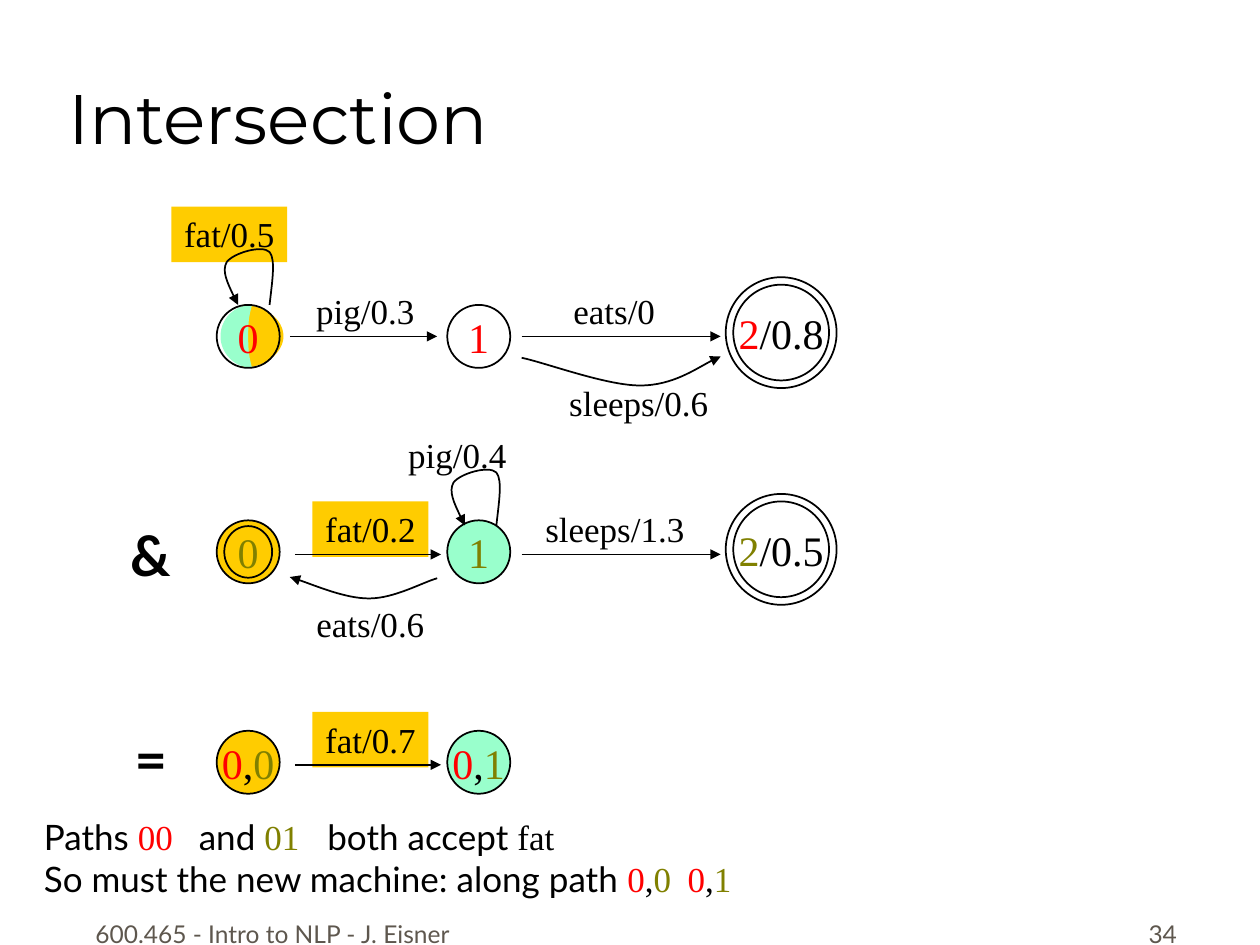
import pptx
import pptx.util
import pptx.dml.color
import pptx.enum.text
import pptx.enum.shapes
import pptx.oxml.ns
import lxml.etree
from dataclasses import dataclass

Inches, Pt = pptx.util.Inches, pptx.util.Pt
Align, Anchor = pptx.enum.text.PP_ALIGN, pptx.enum.text.MSO_ANCHOR
Fit = pptx.enum.text.MSO_AUTO_SIZE
Kind = pptx.enum.shapes.MSO_SHAPE
qn = pptx.oxml.ns.qn


@dataclass
class Theme:
    black: str = "000000"
    red: str = "FF0000"
    olive: str = "808000"
    gold: str = "FFCC00"
    mint: str = "99FFCC"
    grey: str = "5E574E"
    head: str = "Montserrat"
    sans: str = "Lato"
    serif: str = "Times New Roman"
    title: int = 40
    sign: int = 32
    state: int = 24
    label: int = 20
    foot: int = 14
    line: int = 1


T = Theme()

# Content: states as (column, row, fill, runs)
COLS, ROWS = (1.97, 3.8, 6.2), (2.67, 4.38, 6.05)  # state centres
STATES = [
    (0, 0, None, [("0", T.red)]),
    (1, 0, None, [("1", T.red)]),
    (0, 1, T.gold, [("0", T.olive)]),
    (1, 1, T.mint, [("1", T.olive)]),
    (0, 2, T.gold, [("0", T.red), (",", T.black), ("0", T.olive)]),
    (1, 2, T.mint, [("0", T.red), (",", T.black), ("1", T.olive)]),
]
# Final states: centre y, runs
FINALS = [
    (2.64, [("2", T.red), ("/0.8", T.black)]),
    (4.36, [("2", T.olive), ("/0.5", T.black)]),
]

# Arc labels: text, left, top, width, fill
LABELS = [
    ("fat/0.5", 1.36, 1.64, 0.92, T.gold),
    ("fat/0.2", 2.48, 3.98, 0.92, T.gold),
    ("fat/0.7", 2.48, 5.65, 0.92, T.gold),
    ("pig/0.3", 2.41, 2.25, 0.98, None),
    ("eats/0", 4.45, 2.25, 0.85, None),
    ("sleeps/0.6", 4.41, 2.98, 1.32, None),
    ("pig/0.4", 3.14, 3.39, 0.98, None),
    ("sleeps/1.3", 4.22, 3.98, 1.32, None),
    ("eats/0.6", 2.41, 4.73, 1.06, None),
]
SIGNS = [("&", 0.93, 4.08, 0.53), ("=", 0.97, 5.7, 0.45)]

# Straight arcs: from x, to x, y
ARCS = [(2.3, 3.47, 2.67), (4.14, 5.72, 2.67), (2.34, 3.5, 4.4),
        (4.14, 5.72, 4.4), (2.34, 3.5, 6.07)]

# Bézier chains: a start, then three points for each piece
LOOP = [(0, 0), (0.02, -0.18), (0.05, -0.36), (0, -0.42),
        (-0.06, -0.48), (-0.29, -0.41), (-0.34, -0.34),
        (-0.38, -0.27), (-0.32, -0.14), (-0.25, 0)]
LOOPS = [(2.14, 2.42), (3.94, 4.17)]
BENDS = [
    [(4.14, 2.84), (4.33, 2.88), (4.81, 3.06), (5.08, 3.06),
     (5.34, 3.06), (5.61, 2.87), (5.72, 2.83)],
    [(3.47, 4.59), (3.36, 4.62), (3.13, 4.75), (2.93, 4.75),
     (2.74, 4.75), (2.41, 4.61), (2.3, 4.58)],
]
HALVES = [
    (T.gold, [(1.92, 2.42), (1.94, 2.5), (1.96, 2.53), (1.96, 2.67),
              (1.96, 2.8), (1.94, 2.84), (1.92, 2.92),
              (2.1, 2.92), (2.25, 2.8), (2.25, 2.67),
              (2.25, 2.53), (2.1, 2.42), (1.92, 2.42)]),
    (T.mint, [(2, 2.42), (1.98, 2.5), (1.97, 2.53), (1.97, 2.67),
              (1.97, 2.8), (1.98, 2.84), (2, 2.92),
              (1.86, 2.92), (1.75, 2.8), (1.75, 2.67),
              (1.75, 2.53), (1.86, 2.42), (2, 2.42)]),
]

# Closing remarks: tab stops, then runs of (text, colour, font)
NOTES = [
    ((1.23, 2.25), [("Paths ", T.black, T.sans), ("00", T.red, T.serif),
                    ("\tand ", T.black, T.sans), ("01", T.olive, T.serif),
                    ("\tboth accept ", T.black, T.sans),
                    ("fat", T.black, T.serif)]),
    ((5.11,), [("So must the new machine: along path ", T.black, T.sans),
               ("0", T.red, T.serif), (",", T.black, T.serif),
               ("0\t", T.olive, T.serif), ("0", T.red, T.serif),
               (",", T.black, T.serif), ("1", T.olive, T.serif)]),
]
FOOTS = [("600.465 - Intro to NLP - J. Eisner", 0.58, 3.17, Align.CENTER),
         ("34", 7.36, 2.08, Align.RIGHT)]

deck = pptx.Presentation()
deck.slide_width, deck.slide_height = Inches(10), Inches(7.5)
slide = deck.slides.add_slide(deck.slide_layouts[5])
shapes = slide.shapes


def rgb(hue):
    return pptx.dml.color.RGBColor.from_string(hue)


def write(para, runs, size, font, align=Align.CENTER, bold=False):
    para.alignment = align
    para.font.size, para.font.name, para.font.bold = Pt(size), font, bold
    for text, hue, *face in runs:
        run = para.add_run()
        run.text = text
        run.font.color.rgb = rgb(hue)
        if face:
            run.font.name = face[0]


def paint(shape, fill=None, line=None):
    shape.shadow.inherit = False
    if fill:
        shape.fill.solid()
        shape.fill.fore_color.rgb = rgb(fill)
    else:
        shape.fill.background()
    if line:
        shape.line.color.rgb, shape.line.width = rgb(line), Pt(T.line)
    else:
        shape.line.fill.background()


def box(x, y, w, h, wrap=False):
    item = shapes.add_textbox(*map(Inches, (x, y, w, h)))
    item.text_frame.word_wrap = wrap
    return item


def ring(x, y, w, h, fill=None, runs=()):
    """Draw an ellipse around the centre x, y."""
    item = shapes.add_shape(Kind.OVAL, *map(Inches, (x - w / 2, y - h / 2, w, h)))
    paint(item, fill, T.black)
    if runs:
        frame = item.text_frame
        frame.word_wrap, frame.vertical_anchor = False, Anchor.MIDDLE
        write(frame.paragraphs[0], runs, T.state, T.serif)


def curve(nodes):
    """Build a freeform, then turn each three line segments into one Bézier."""
    dots = [(Inches(x), Inches(y)) for x, y in nodes]
    pen = shapes.build_freeform(*dots[0])
    pen.add_line_segments(dots[1:], close=nodes[0] == nodes[-1])
    item = pen.convert_to_shape()
    legs = list(item._element.iter(qn("a:lnTo")))
    for i in range(0, len(nodes) - 1, 3):
        bend = lxml.etree.Element(qn("a:cubicBezTo"))
        legs[i].addprevious(bend)
        for leg in legs[i:i + 3]:
            bend.append(leg[0])
            leg.getparent().remove(leg)
    return item


def arrow(item):
    lxml.etree.SubElement(item.line._get_or_add_ln(), qn("a:tailEnd"), type="triangle")


# Title
title = shapes.title
title.left, title.top, title.width, title.height = map(Inches, (0.44, 0.06, 8.5, 1.25))
title.text_frame.vertical_anchor = Anchor.BOTTOM
write(title.text_frame.paragraphs[0], [("Intersection", T.black)],
      T.title, T.head, Align.LEFT)

# Arc labels and operator signs
for text, x, y, w, fill in LABELS:
    item = box(x, y, w, 0.44)
    if fill:
        paint(item, fill)
    item.text_frame.auto_size = Fit.SHAPE_TO_FIT_TEXT
    write(item.text_frame.paragraphs[0], [(text, T.black)], T.label, T.serif)
for text, x, y, w in SIGNS:
    write(box(x, y, w, 0.64).text_frame.paragraphs[0], [(text, T.black)],
          T.sign, T.sans, bold=True)

# States, with the two-colour start and the double rings
for fill, nodes in HALVES:
    paint(curve(nodes), fill)
for col, row, fill, runs in STATES:
    ring(COLS[col], ROWS[row], 0.5, 0.5, fill, runs)
ring(COLS[0], ROWS[1], 0.38, 0.41)
for y, runs in FINALS:
    ring(COLS[2], y, 0.76, 0.76, None, runs)
    ring(COLS[2], y, 0.88, 0.88)

# Arcs
for x, end, y in ARCS:
    item = shapes.add_connector(pptx.enum.shapes.MSO_CONNECTOR.STRAIGHT,
                                *map(Inches, (x, y, end, y)))
    item.line.color.rgb, item.line.width = rgb(T.black), Pt(T.line)
    arrow(item)
    lxml.etree.SubElement(item._element.spPr, qn("a:effectLst"))
for nodes in BENDS + [[(x + a, y + b) for a, b in LOOP] for x, y in LOOPS]:
    item = curve(nodes)
    paint(item, None, T.black)
    arrow(item)

# Closing remarks
frame = box(0.25, 6.42, 7.33, 0.77, True).text_frame
for i, (stops, runs) in enumerate(NOTES):
    para = frame.add_paragraph() if i else frame.paragraphs[0]
    tabs = lxml.etree.SubElement(para._p.get_or_add_pPr(), qn("a:tabLst"))
    for stop in stops:
        lxml.etree.SubElement(tabs, qn("a:tab"), pos=str(Inches(stop)), algn="l")
    write(para, runs, T.label, T.sans, Align.LEFT)

# Footer
for text, x, w, align in FOOTS:
    frame = box(x, 7.08, w, 0.5, True).text_frame
    frame.vertical_anchor = Anchor.BOTTOM
    write(frame.paragraphs[0], [(text, T.grey)], T.foot, T.sans, align)

deck.save("out.pptx")
